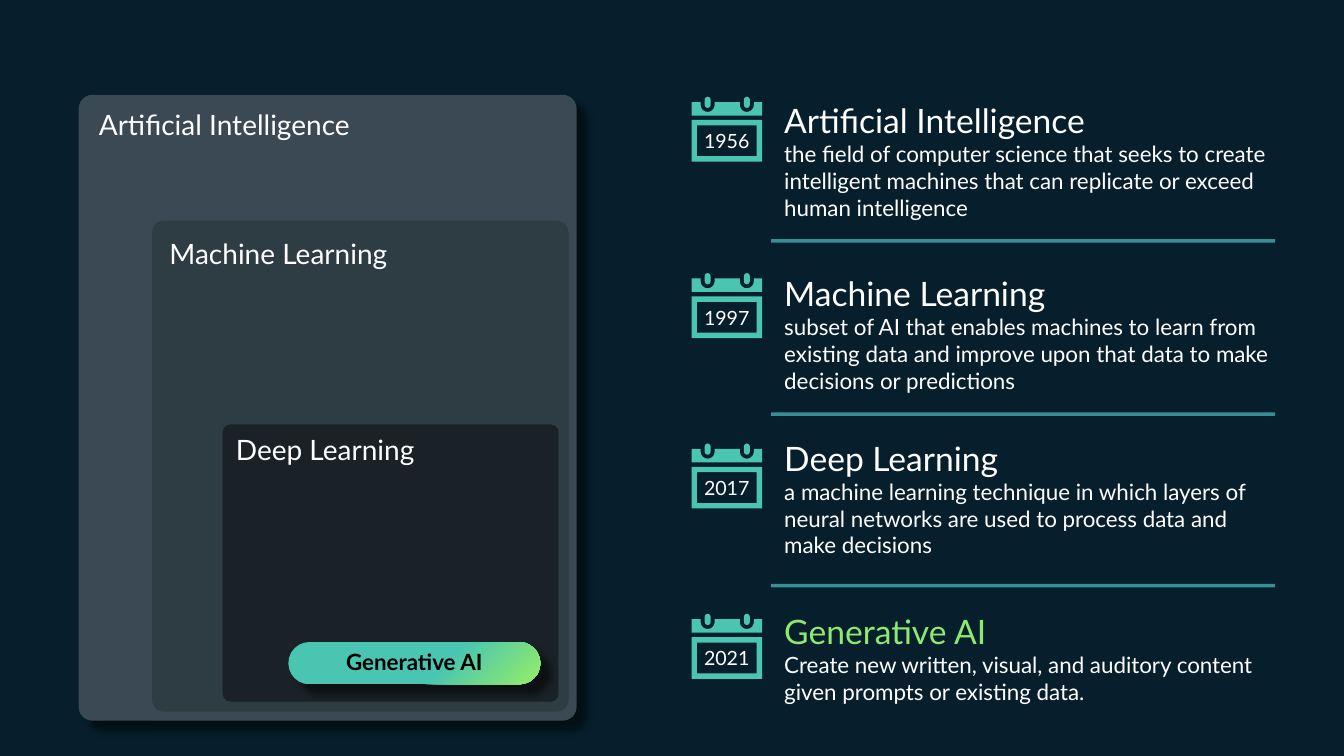
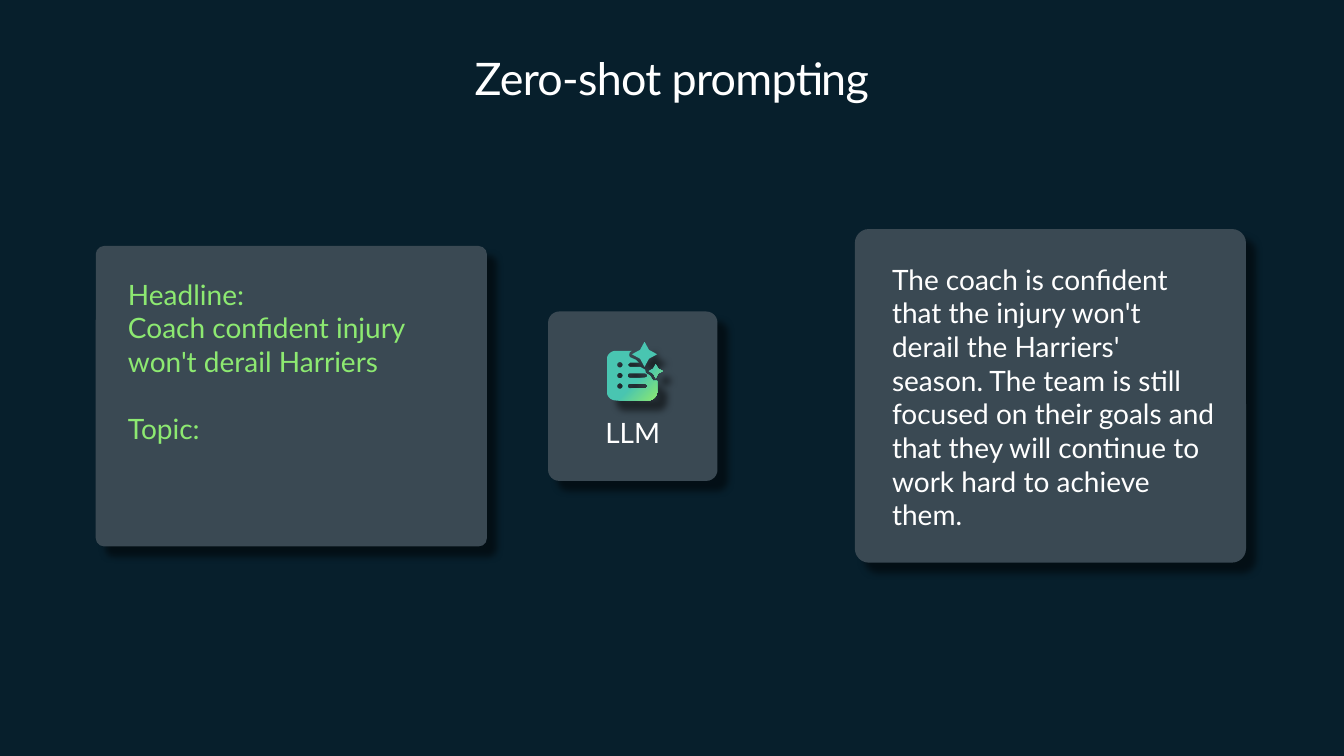
from math import cos, radians, sin

from pptx import Presentation
from pptx.dml.color import RGBColor
from pptx.enum.shapes import MSO_CONNECTOR, MSO_SHAPE
from pptx.enum.text import MSO_ANCHOR, MSO_AUTO_SIZE, PP_ALIGN
from pptx.oxml import parse_xml
from pptx.oxml.ns import nsdecls, qn
from pptx.util import Pt

# Shared style
FONT = "Lato"
BACKGROUND = RGBColor(0x07, 0x1F, 0x2C)
SLATE = RGBColor(0x3A, 0x49, 0x53)
DARK_SLATE = RGBColor(0x2E, 0x3C, 0x44)
CHARCOAL = RGBColor(0x1A, 0x22, 0x27)
TEAL = RGBColor(0x49, 0xC5, 0xB1)
GREEN = RGBColor(0x8D, 0xE9, 0x71)
CYAN = RGBColor(0x66, 0xFF, 0xFF)
WHITE = RGBColor(0xFF, 0xFF, 0xFF)
BLACK = RGBColor(0x00, 0x00, 0x00)

ROUNDED = MSO_SHAPE.ROUNDED_RECTANGLE
FRAME = MSO_SHAPE.FRAME
STRAIGHT = MSO_CONNECTOR.STRAIGHT
LEFT, CENTER = PP_ALIGN.LEFT, PP_ALIGN.CENTER
TOP, MIDDLE, BOTTOM = MSO_ANCHOR.TOP, MSO_ANCHOR.MIDDLE, MSO_ANCHOR.BOTTOM
NO_AUTOSIZE = MSO_AUTO_SIZE.NONE
TITLE_ONLY_LAYOUT, BLANK_LAYOUT = 5, 6

# Left, top, width, height, corner, fill of the nested fields
NESTED_FIELDS = [
    (56.2, 67.7, 355.7, 447.1, 0.028, SLATE),
    (108.7, 157.7, 297.4, 350.6, 0.028, DARK_SLATE),
    (159.1, 303.1, 239.8, 198, 0.028, CHARCOAL),
]
FIELD_LABELS = [
    ("Artificial Intelligence", 70.6, 77),
    ("Machine Learning", 121, 169.2),
    ("Deep Learning", 168.5, 308.9),
]
# Year, calendar top, text top, heading, heading colour, definition
MILESTONES = [
    ("1956", 69.1, 67.7, "Artificial Intelligence", WHITE,
     "the field of computer science that seeks to create intelligent "
     "machines that can replicate or exceed human intelligence"),
    ("1997", 195.1, 191.5, "Machine Learning", WHITE,
     "subset of AI that enables machines to learn from existing data and "
     "improve upon that data to make decisions or predictions"),
    ("2017", 316.8, 308.9, "Deep Learning", WHITE,
     "a machine learning technique in which layers of neural networks are "
     "used to process data and make decisions"),
    ("2021", 438.5, 432.7, "Generative AI", GREEN,
     "Create new written, visual, and auditory content given prompts or "
     "existing data."),
]
DIVIDER_TOPS = [172.1, 295.9, 418.3]


# Fills and effects
def paint(shape, color, shadow=False):
    """Solid colour, or the green-to-teal gradient when color is None."""
    shape.line.fill.background()
    if color is None:
        shape.fill.background()
        properties = shape.element.spPr
        gradient = parse_xml(
            f'<a:gradFill {nsdecls("a")} rotWithShape="1"><a:gsLst>'
            f'<a:gs pos="5000"><a:srgbClr val="{GREEN}"/></a:gs>'
            f'<a:gs pos="40000"><a:srgbClr val="{TEAL}"/></a:gs></a:gsLst>'
            '<a:path path="circle"><a:fillToRect l="100000" t="100000"/>'
            '</a:path></a:gradFill>')
        properties.replace(properties.find(qn("a:noFill")), gradient)
    else:
        shape.fill.solid()
        shape.fill.fore_color.rgb = color
    shape.shadow.inherit = False
    if shadow:
        shape.element.spPr.find(qn("a:effectLst")).append(parse_xml(
            f'<a:outerShdw {nsdecls("a")} blurRad="{Pt(5)}" dist="{Pt(10)}" '
            'dir="2700000" algn="tl" rotWithShape="0"><a:srgbClr val="000000">'
            '<a:alpha val="50000"/></a:srgbClr></a:outerShdw>'))


# Text
def set_insets(frame, left=0, top=0, right=0, bottom=0):
    frame.margin_left, frame.margin_top = Pt(left), Pt(top)
    frame.margin_right, frame.margin_bottom = Pt(right), Pt(bottom)


def format_paragraph(paragraph, text, size, color, align=LEFT, bold=False):
    paragraph.text = text
    paragraph.alignment = align
    font = paragraph.font
    font.name, font.size, font.bold = FONT, Pt(size), bold
    font.color.rgb = color


def add_text(slide, left, top, width, height, lines):
    """Each line is (text, size, colour, space before)."""
    box = slide.shapes.add_textbox(Pt(left), Pt(top), Pt(width), Pt(height))
    frame = box.text_frame
    frame.word_wrap = True
    set_insets(frame)
    for index, (text, size, color, space) in enumerate(lines):
        paragraph = frame.paragraphs[0] if index == 0 else frame.add_paragraph()
        format_paragraph(paragraph, text, size, color)
        if space:
            paragraph.space_before = Pt(space)


def label_shape(shape, text, size, color, anchor=MIDDLE, bottom=0, bold=False):
    frame = shape.text_frame
    frame.word_wrap = False
    frame.vertical_anchor = anchor
    set_insets(frame, bottom=bottom)
    format_paragraph(frame.paragraphs[0], text, size, color, CENTER, bold)


def set_title(slide, text):
    title = slide.shapes.title
    title.left, title.top, title.width, title.height = (
        Pt(46), Pt(36), Pt(867.6), Pt(39))
    frame = title.text_frame
    frame.auto_size = NO_AUTOSIZE
    frame.vertical_anchor = TOP
    set_insets(frame)
    format_paragraph(frame.paragraphs[0], text, 32, WHITE, CENTER)
    frame.paragraphs[0].runs[0].font._element.set("spc", "-50")


# Shapes
def add_preset(slide, preset, left, top, width, height, corner, color,
               shadow=False):
    shape = slide.shapes.add_shape(
        preset, Pt(left), Pt(top), Pt(width), Pt(height))
    shape.adjustments[0] = corner
    paint(shape, color, shadow)
    return shape


def add_outline(slide, left, top, contours, color, shadow=False):
    """Closed contours in points; inner contours become holes."""
    builder = None
    for contour in contours:
        points = [(Pt(x), Pt(y)) for x, y in contour]
        if builder is None:
            builder = slide.shapes.build_freeform(*points[0], scale=1.0)
        else:
            builder.move_to(*points[0])
        builder.add_line_segments(points[1:], close=True)
    paint(builder.convert_to_shape(Pt(left), Pt(top)), color, shadow)


def arc(x, y, radius, start, end, steps=10):
    angles = [radians(start + (end - start) * i / steps)
              for i in range(steps + 1)]
    return [(x + radius * cos(a), y + radius * sin(a)) for a in angles]


def sparkle(x, y, radius):
    outer = arc(x, y, radius, 0, 270, 3)
    inner = arc(x, y, radius / 2, 45, 315, 3)
    return [point for pair in zip(outer, inner) for point in pair]


def add_divider(slide, top):
    line = slide.shapes.add_connector(
        STRAIGHT, Pt(550.8), Pt(top), Pt(910.8), Pt(top))
    line.line.width = Pt(2.5)
    line.line.color.rgb = CYAN
    properties = line.element.spPr
    color = next(properties.iter(qn("a:srgbClr")))
    color.append(parse_xml(f'<a:alpha {nsdecls("a")} val="50000"/>'))
    properties.append(parse_xml(f'<a:effectLst {nsdecls("a")}/>'))


# Icons
def add_calendar(slide, left, top, year):
    width, strip_top, strip_bottom = 50.4, 3.8, 13.4
    ring_centers = (11.5, 39.5)
    strip = [(0, strip_top)]
    for center in ring_centers:
        strip.append((center - 5, strip_top))
        strip += arc(center, 5.8, 5, 180, 0)
        strip.append((center + 5, strip_top))
        add_preset(slide, ROUNDED, left + center - 2.1, top, 4.2, 8, 0.5, TEAL)
    strip += [(width, strip_top), (width, strip_bottom), (0, strip_bottom)]
    add_outline(slide, left, top, [strip], TEAL)
    page = add_preset(slide, FRAME, left, top + 16.6, width, 29.8, 0.13, TEAL)
    label_shape(page, year, 14, WHITE)


def add_prompt_icon(slide, left, top):
    radius, edge, head, foot = 6.5, 36, 6.5, 42
    document = arc(radius, head + radius, radius, 270, 180)
    document += arc(radius, foot - radius, radius, 180, 90)
    document += arc(edge - radius, foot - radius, radius, 90, 0)
    # Cut-out around the sparkles, joined to the first list bar
    document += [
        (36, 28), (33, 28), (31, 24.5), (28, 22.5), (27.5, 20), (24, 18),
        (16.5, 18), (15, 16.5), (16.5, 15), (23, 15), (21, 13), (16.5, 11),
        (16, 9.5), (16.5, 7.5), (18, 6.5)]
    dots = [arc(9.4, y, 2, 0, 360) for y in (16.5, 24.2, 31.7)]
    bars = [arc(16.6, y, 1.6, 90, 270) + arc(27.4, y, 1.6, -90, 90)
            for y in (24.2, 31.7)]
    sparkles = [sparkle(27, 9, 9), sparkle(35, 21, 5)]
    add_outline(slide, left, top, [document, *dots, *bars, *sparkles],
                None, shadow=True)


# Slides
def build_timeline(slide):
    for index, field in enumerate(NESTED_FIELDS):
        add_preset(slide, ROUNDED, *field, shadow=index == 0)
    for text, left, top in FIELD_LABELS:
        add_text(slide, left, top, 220, 24.5, [(text, 20, WHITE, 0)])
    pill = add_preset(slide, ROUNDED, 206, 458.6, 180, 30.2, 0.5, None, True)
    label_shape(pill, "Generative AI", 16, BLACK, bold=True)
    pill.text_frame.paragraphs[0].line_spacing = 0.95

    for year, calendar_top, top, heading, color, definition in MILESTONES:
        add_calendar(slide, 494, calendar_top, year)
        add_text(slide, 560.2, top + 3.6, 357, 88,
                 [(heading, 24, color, 0), (definition, 16, WHITE, 0)])
    for top in DIVIDER_TOPS:
        add_divider(slide, top)


def build_prompting(slide):
    set_title(slide, "Zero-shot prompting")
    # Prompt
    add_preset(slide, ROUNDED, 68.4, 175.7, 279.4, 214.6, 0.028, SLATE, True)
    add_text(slide, 91.4, 198, 234.7, 121, [
        ("Headline:", 20, GREEN, 0),
        ("Coach confident injury won't derail Harriers", 20, GREEN, 0),
        ("Topic:", 20, GREEN, 24)])
    # Model
    model = add_preset(slide, ROUNDED, 391.5, 222.5, 121, 121, 0.066, SLATE,
                       True)
    label_shape(model, "LLM", 20, WHITE, BOTTOM, bottom=20.2)
    add_prompt_icon(slide, 433.4, 244.1)
    # Answer
    add_preset(slide, ROUNDED, 610.6, 163.6, 279.4, 238.3, 0.042, SLATE, True)
    add_text(slide, 637.2, 187.4, 230.4, 194, [
        ("The coach is confident that the injury won't derail the Harriers' "
         "season. The team is still focused on their goals and that they "
         "will continue to work hard to achieve them.", 20, WHITE, 0)])


def main():
    presentation = Presentation()
    presentation.slide_width, presentation.slide_height = Pt(960), Pt(540)
    fill = presentation.slide_master.background.fill
    fill.solid()
    fill.fore_color.rgb = BACKGROUND
    layouts = presentation.slide_layouts
    build_timeline(presentation.slides.add_slide(layouts[BLANK_LAYOUT]))
    build_prompting(presentation.slides.add_slide(layouts[TITLE_ONLY_LAYOUT]))
    presentation.save("out.pptx")


if __name__ == "__main__":
    main()
